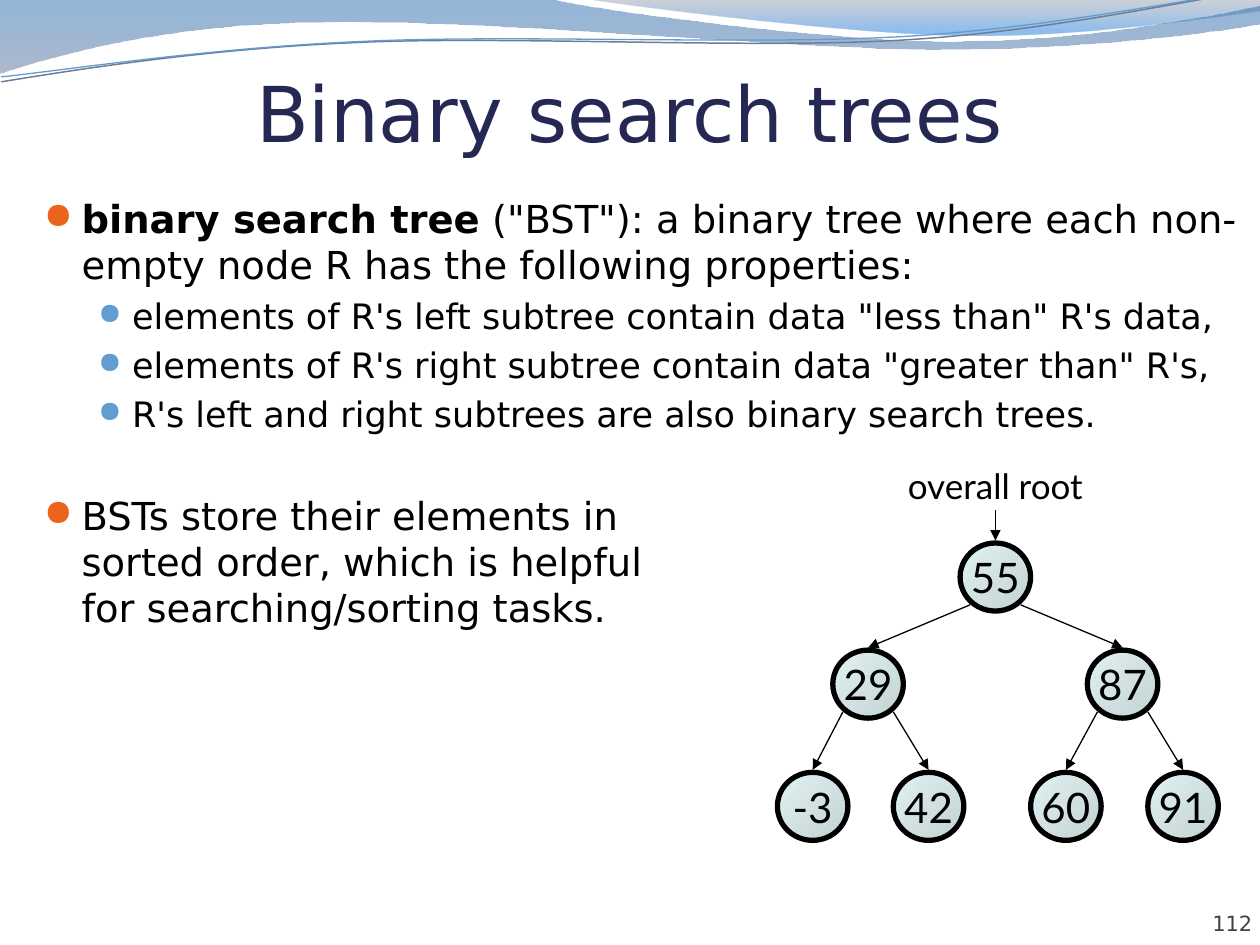
from lxml.etree import SubElement
from pptx import Presentation
from pptx.dml.color import RGBColor
from pptx.enum.shapes import MSO_CONNECTOR as Connector, MSO_SHAPE as Shape
from pptx.enum.text import MSO_ANCHOR as Anchor, PP_ALIGN as Align
from pptx.oxml.ns import qn
from pptx.util import Inches, Pt

COLORS = {
    "black": "000000", "title": "242852", "number": "424242",
    "bullet": "EB641B", "sub_bullet": "629DD1",
    "node_light": "E1F2F3", "node_dark": "C3D2D3",
    "wave_blue": "125EAA", "wave_slate": "697FA4",
    "crest_gray": "596982", "crest_blue": "0670DA",
    "gray_line": "707E95", "blue_line": "629DD1",
}
SANS, LATO, SYMBOL = "DejaVu Sans", "Lato", "OpenSymbol"

LEVELS = [
    dict(size=22, margin=0.3, indent=-0.3, color="bullet", scale=95),
    dict(size=20, margin=0.7, indent=-0.27, color="sub_bullet", scale=85),
]
BODY = [
    (0, 0, [("binary search tree", True),
            (' ("BST"): a binary tree where each non-empty node R has the following properties:', False)]),
    (1, 4, [('elements of R\'s left subtree contain data "less than" R\'s data,', False)]),
    (1, 4, [('elements of R\'s right subtree contain data "greater than" R\'s,', False)]),
    (1, 4, [("R's left and right subtrees are also binary search trees.", False)]),
    (0, 32.6, [("BSTs store their elements in\nsorted order, which is helpful\nfor searching/sorting tasks.", False)]),
]

NODE_WIDTH, NODE_HEIGHT = 0.56, 0.54
NODES = {
    "55": (7.9, 4.58), "29": (6.89, 5.43), "87": (8.91, 5.43),
    "-3": (6.45, 6.4), "42": (7.37, 6.4), "60": (8.46, 6.4), "91": (9.39, 6.4),
}
CHILDREN = {"55": ("29", "87"), "29": ("-3", "42"), "87": ("60", "91")}

WAVES = [
    dict(path=[[(0, 0)], [(4.4, 0)],
               [(4.76, 0.09), (6.64, 0.33), (7.58, 0.33)],
               [(8.53, 0.33), (9.58, 0.14), (10, 0.05)], [(10.01, 0.19)],
               [(9.83, 0.23), (8.7, 0.39), (7.46, 0.39)],
               [(6.22, 0.39), (3.82, 0.15), (2.57, 0.18)],
               [(1.29, 0.19), (0.46, 0.43), (-0.01, 0.58)]],
         stops=[(0, "wave_blue", 45), (1, "wave_slate", 55)]),
    dict(path=[[(4.67, 0)], [(4.98, 0.05), (6.74, 0.27), (7.63, 0.28)],
               [(8.52, 0.3), (9.61, 0.14), (10, 0.09)], [(10, 0)]],
         stops=[(0, "crest_gray", 30), (0.8, "crest_blue", 45)]),
    dict(path=[[(0.01, 0.65)], [(0.5, 0.57), (1.6, 0.39), (2.79, 0.34)],
               [(3.98, 0.28), (5.93, 0.39), (7.14, 0.32)],
               [(8.34, 0.25), (9.41, 0), (10, -0.08)]],
         line=("gray_line", 0.85)),
    dict(path=[[(0.01, 0.61)], [(0.49, 0.56), (1.66, 0.38), (2.85, 0.33)],
               [(4.04, 0.27), (5.97, 0.36), (7.16, 0.29)],
               [(8.36, 0.22), (9.41, -0.01), (10, -0.08)]],
         line=("blue_line", 0.75)),
]


def rgb(name):
    return RGBColor.from_string(COLORS[name])


def bend_segments(shape, path):
    lines = iter(list(shape._element.spPr.iter(qn("a:lnTo"))))
    for segment in path[1:]:
        group = [next(lines) for _ in segment]
        if len(group) == 3:
            group[0].tag
            curve = group[0].makeelement(qn("a:cubicBezTo"))
            group[0].addprevious(curve)
            for line in group:
                curve.append(line[0])
                line.getparent().remove(line)


def gradient(shape, stops, angle):
    shape.fill.gradient()
    shape.fill.gradient_angle = 360 - angle
    for stop, (position, color, _) in zip(shape.fill.gradient_stops, stops):
        stop.position = position
        stop.color.rgb = rgb(color)
    colors = shape._element.spPr.find(qn("a:gradFill")).iter(qn("a:srgbClr"))
    for element, (_, _, opacity) in zip(colors, stops):
        if opacity < 100:
            SubElement(element, qn("a:alpha"), val=str(opacity * 1000))


def add_wave(slide, path, stops=None, line=None):
    points = [(Inches(x), Inches(y)) for segment in path for x, y in segment]
    builder = slide.shapes.build_freeform(*points[0], scale=1.0)
    builder.add_line_segments(points[1:], close=bool(stops))
    wave = builder.convert_to_shape()
    bend_segments(wave, path)
    wave.shadow.inherit = False
    if stops:
        gradient(wave, stops, 90)
        wave.line.fill.background()
    else:
        wave.fill.background()
        wave.line.color.rgb = rgb(line[0])
        wave.line.width = Pt(line[1])


def add_span(para, text, size, font=SANS, color="black", bold=False):
    for index, part in enumerate(text.split("\n")):
        if index:
            para.add_line_break()
        span = para.add_run()
        span.text = part
        span.font.size, span.font.name, span.font.bold = Pt(size), font, bold
        span.font.color.rgb = rgb(color)


def set_text(shape, text, align=Align.CENTER, anchor=Anchor.TOP, wrap=False,
             insets=(0.1, 0.05, 0.1, 0.05), **style):
    frame = shape.text_frame
    frame.word_wrap, frame.vertical_anchor = wrap, anchor
    frame.margin_left, frame.margin_top, frame.margin_right, frame.margin_bottom = map(Inches, insets)
    frame.paragraphs[0].alignment = align
    add_span(frame.paragraphs[0], text, **style)


def add_box(slide, *place):
    return slide.shapes.add_textbox(*map(Inches, place))


def add_arrow(slide, *ends):
    arrow = slide.shapes.add_connector(Connector.STRAIGHT, *map(Inches, ends))
    arrow.line.color.rgb = rgb("black")
    arrow.line.width = Pt(0.75)
    SubElement(arrow.line._get_or_add_ln(), qn("a:tailEnd"), type="triangle")
    SubElement(arrow._element.spPr, qn("a:effectLst"))


def add_bullet(para, level):
    props = para._p.get_or_add_pPr()
    props.set("marL", str(Inches(level["margin"])))
    props.set("indent", str(Inches(level["indent"])))
    color = SubElement(props, qn("a:buClr"))
    SubElement(color, qn("a:srgbClr"), val=COLORS[level["color"]])
    SubElement(props, qn("a:buSzPct"), val=str(level["scale"] * 1000))
    SubElement(props, qn("a:buFont"), typeface=SYMBOL)
    SubElement(props, qn("a:buChar"), char="●")


def add_body(slide):
    frame = add_box(slide, 0.25, 1.5, 9.75, 5.67).text_frame
    frame.word_wrap = True
    for index, (depth, before, spans) in enumerate(BODY):
        para = frame.add_paragraph() if index else frame.paragraphs[0]
        para.level = depth
        add_bullet(para, LEVELS[depth])
        if before:
            para.space_before = Pt(before)
        for text, bold in spans:
            add_span(para, text, LEVELS[depth]["size"], bold=bold)


def add_tree(slide):
    for label, (x, y) in NODES.items():
        place = (x - NODE_WIDTH / 2, y - NODE_HEIGHT / 2, NODE_WIDTH, NODE_HEIGHT)
        node = slide.shapes.add_shape(Shape.OVAL, *map(Inches, place))
        node.shadow.inherit = False
        gradient(node, [(0, "node_light", 100), (1, "node_dark", 100)], 45)
        node.line.color.rgb = rgb("black")
        node.line.width = Pt(3)
        set_text(node, label, anchor=Anchor.MIDDLE, size=24, font=LATO)
    for parent, children in CHILDREN.items():
        x, y = NODES[parent]
        for side, child in zip((-1, 1), children):
            child_x, child_y = NODES[child]
            add_arrow(slide, x + side * 0.2, y + 0.22, child_x, child_y - NODE_HEIGHT / 2 - 0.02)
    root_x = NODES["55"][0]
    set_text(add_box(slide, root_x - 0.8, 3.64, 1.6, 0.43), "overall root", size=20, font=LATO)
    add_arrow(slide, root_x, 4.05, root_x, 4.29)


def main():
    deck = Presentation()
    deck.slide_width, deck.slide_height = Inches(10), Inches(7.5)
    page = deck.slides.add_slide(deck.slide_layouts[6])
    for wave in WAVES:
        add_wave(page, **wave)
    set_text(add_box(page, 9.11, 7.03, 0.83, 0.4), "112", align=Align.RIGHT, anchor=Anchor.BOTTOM,
             wrap=True, insets=(0, 0, 0, 0), size=12, color="number")
    set_text(add_box(page, 0.5, 0.48, 9, 0.77), "Binary search trees", anchor=Anchor.BOTTOM,
             wrap=True, insets=(0, 0.05, 0, 0), size=44, color="title")
    add_body(page)
    add_tree(page)
    deck.save("out.pptx")


if __name__ == "__main__":
    main()
